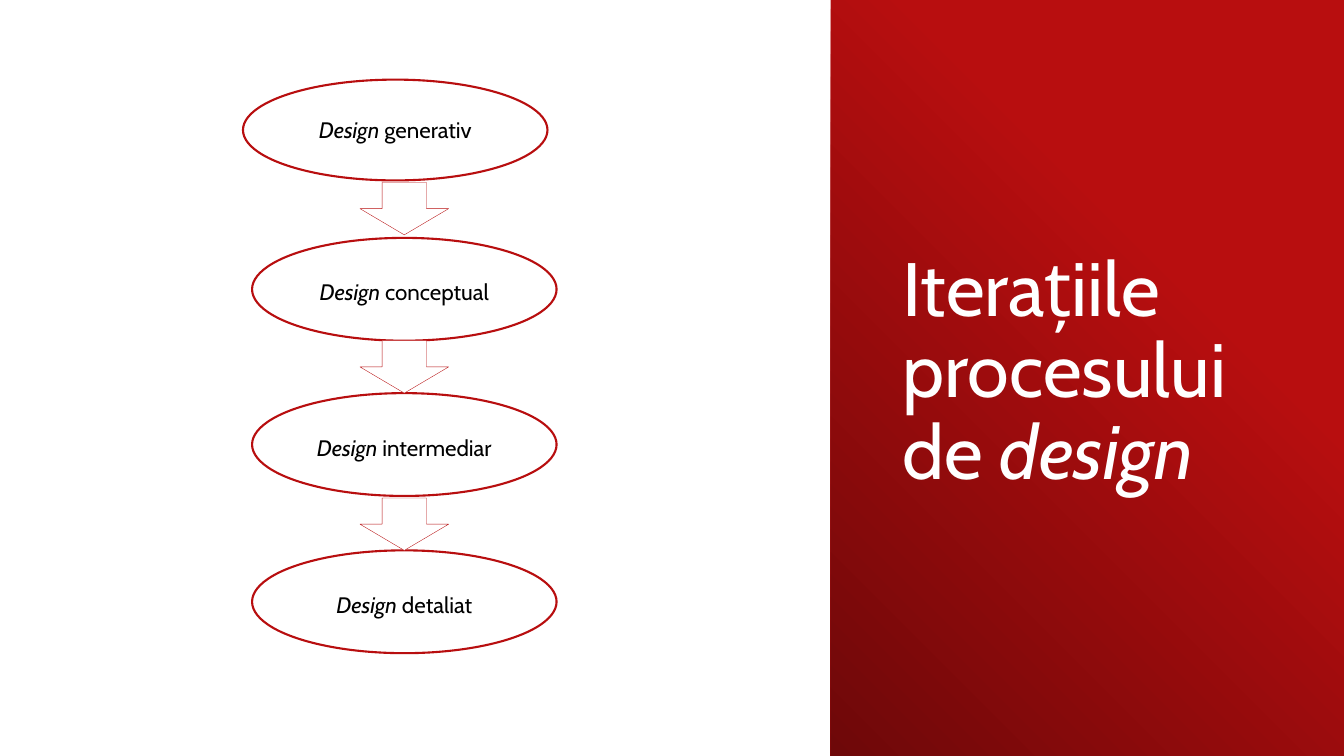
import pptx
import pptx.dml.color
import pptx.enum.shapes
import pptx.enum.text
import pptx.util
from dataclasses import dataclass

Inches = pptx.util.Inches
Shapes = pptx.enum.shapes.MSO_SHAPE
Align = pptx.enum.text.PP_ALIGN
Anchor = pptx.enum.text.MSO_ANCHOR


def color(value):
    return pptx.dml.color.RGBColor.from_string(value)


@dataclass(frozen=True)
class Theme:
    font: str = "Cabin"
    white: str = "FFFFFF"
    black: str = "000000"
    red: str = "B80E0F"
    dark_red: str = "6E0809"
    title_size: int = 54
    label_size: int = 16
    outline: float = 1.5
    thin_outline: float = 0.25


class SlideBuilder:
    def __init__(self, slide, theme):
        self.slide = slide
        self.theme = theme

    def shape(self, kind, box, line_width):
        """Add a white shape with a red outline."""
        shape = self.slide.shapes.add_shape(kind, *map(Inches, box))
        shape.shadow.inherit = False
        shape.fill.solid()
        shape.fill.fore_color.rgb = color(self.theme.white)
        shape.line.color.rgb = color(self.theme.red)
        shape.line.width = pptx.util.Pt(line_width)
        return shape

    def gradient_panel(self, box):
        panel = self.slide.shapes.add_shape(Shapes.RECTANGLE, *map(Inches, box))
        panel.shadow.inherit = False
        panel.line.fill.background()
        panel.fill.gradient()
        panel.fill.gradient_angle = 225
        stops = ((0.34, self.theme.red), (1, self.theme.dark_red))
        for stop, (position, value) in zip(panel.fill.gradient_stops, stops):
            stop.position = position
            stop.color.rgb = color(value)

    def add_text(self, shape, runs, size, value, paragraph_format):
        """Fill a shape with one paragraph of (text, italic) runs."""
        frame = shape.text_frame
        frame.word_wrap = True
        frame.vertical_anchor = Anchor.MIDDLE
        paragraph = frame.paragraphs[0]
        for name, setting in paragraph_format.items():
            setattr(paragraph, name, setting)
        for text, italic in runs:
            run = paragraph.add_run()
            run.text = text
            font_format = {"name": self.theme.font, "size": pptx.util.Pt(size), "italic": italic}
            for name, setting in font_format.items():
                setattr(run.font, name, setting)
            run.font.color.rgb = color(value)

    def title(self, box, runs):
        text_box = self.slide.shapes.add_textbox(*map(Inches, box))
        self.add_text(text_box, runs, self.theme.title_size, self.theme.white,
                      {"alignment": Align.LEFT, "line_spacing": 0.9})

    def stage(self, box, label, line_spacing):
        ellipse = self.shape(Shapes.OVAL, box, self.theme.outline)
        self.add_text(ellipse, [("Design ", True), (label, False)],
                      self.theme.label_size, self.theme.black,
                      {"alignment": Align.CENTER, "line_spacing": line_spacing})

    def arrow(self, box):
        self.shape(Shapes.DOWN_ARROW, box, self.theme.thin_outline)


def main():
    presentation = pptx.Presentation()
    presentation.slide_width = Inches(13.33)
    presentation.slide_height = Inches(7.5)
    slide = presentation.slides.add_slide(presentation.slide_layouts[6])
    builder = SlideBuilder(slide, Theme())

    # Title panel
    builder.gradient_panel((8.24, 0, 5.09, 7.5))
    builder.title((8.85, 0.75, 3.71, 5.91),
                  [("Iterațiile procesului de ", False), ("design", True)])

    # Design stages
    stages = (
        ("generativ", 2.41, 0.79, 1, 1.0),
        ("conceptual", 2.5, 2.36, 1.02, 1.2),
        ("intermediar", 2.5, 3.9, 1.02, 1.2),
        ("detaliat", 2.5, 5.46, 1.02, 1.2),
    )
    for label, left, top, height, line_spacing in stages:
        builder.stage((left, top, 3.02, height), label, line_spacing)

    # Arrows between stages
    for top in (1.81, 3.38, 4.94):
        builder.arrow((3.57, top, 0.88, 0.52))

    presentation.save("out.pptx")


if __name__ == "__main__":
    main()
